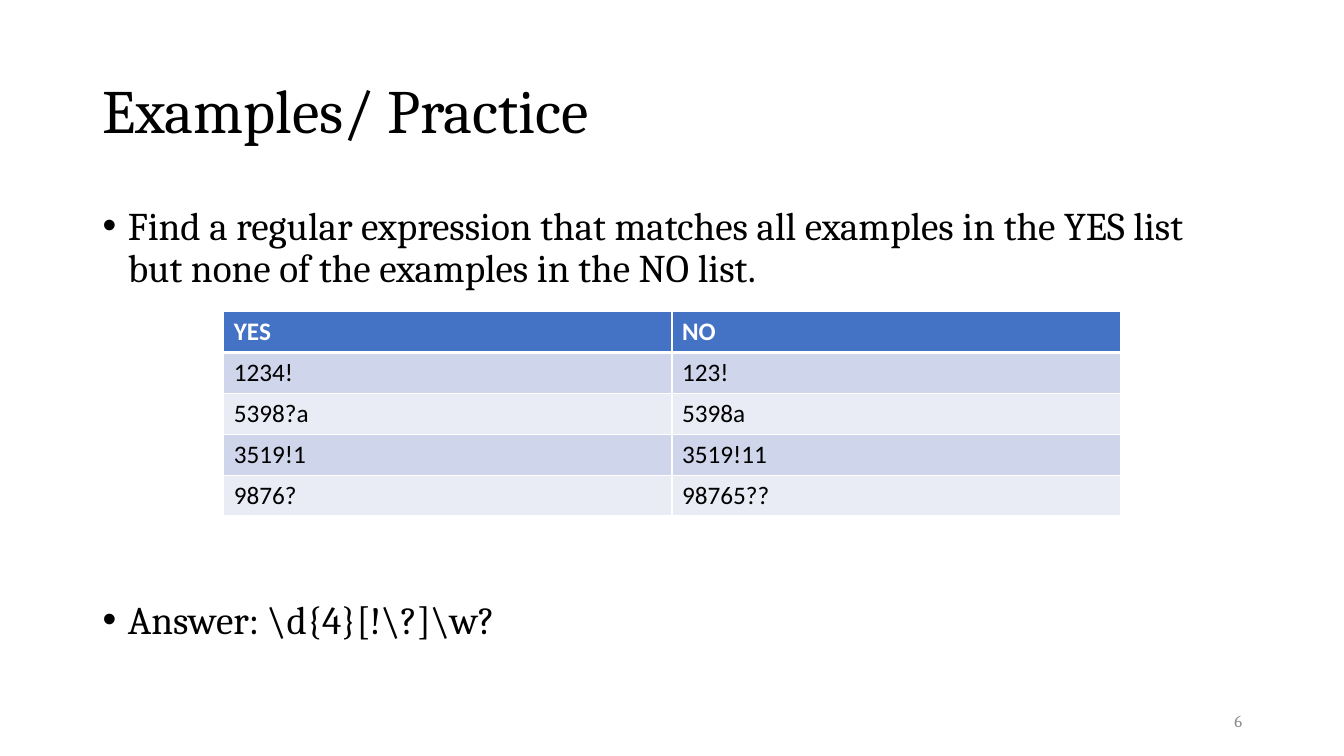
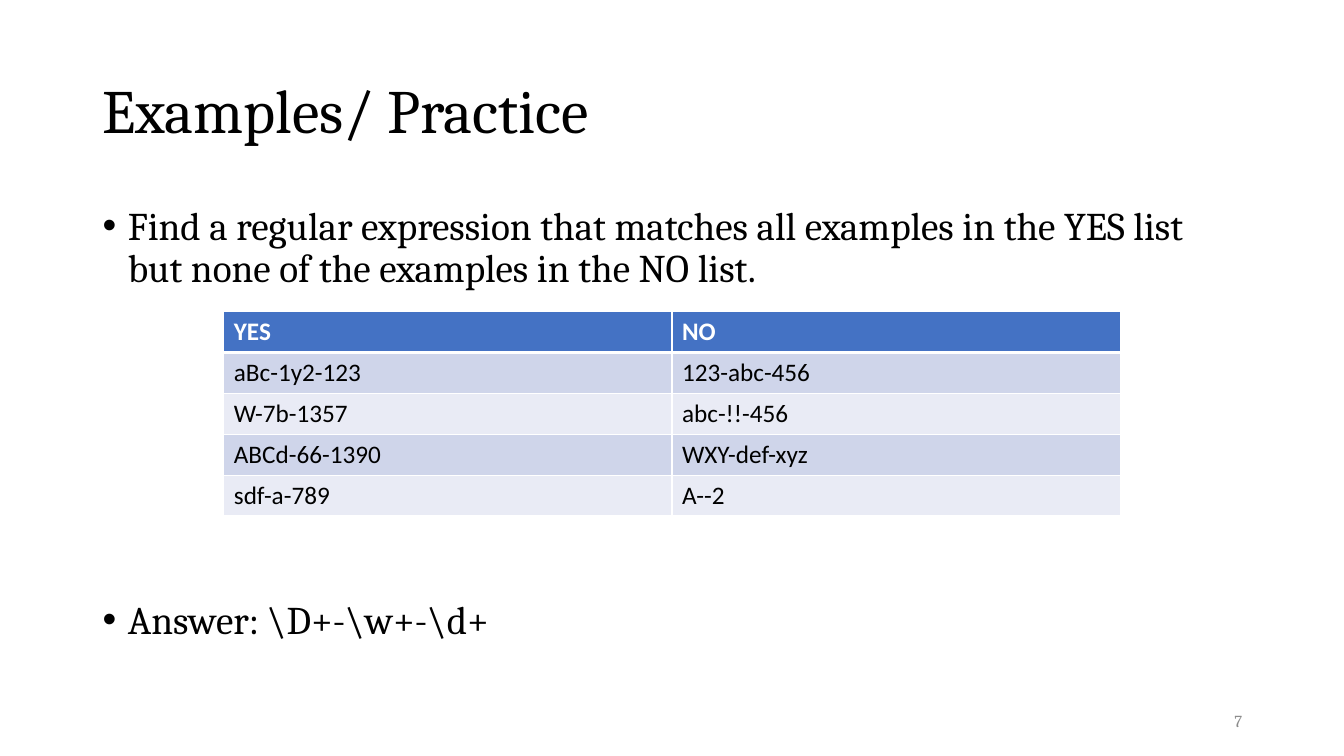
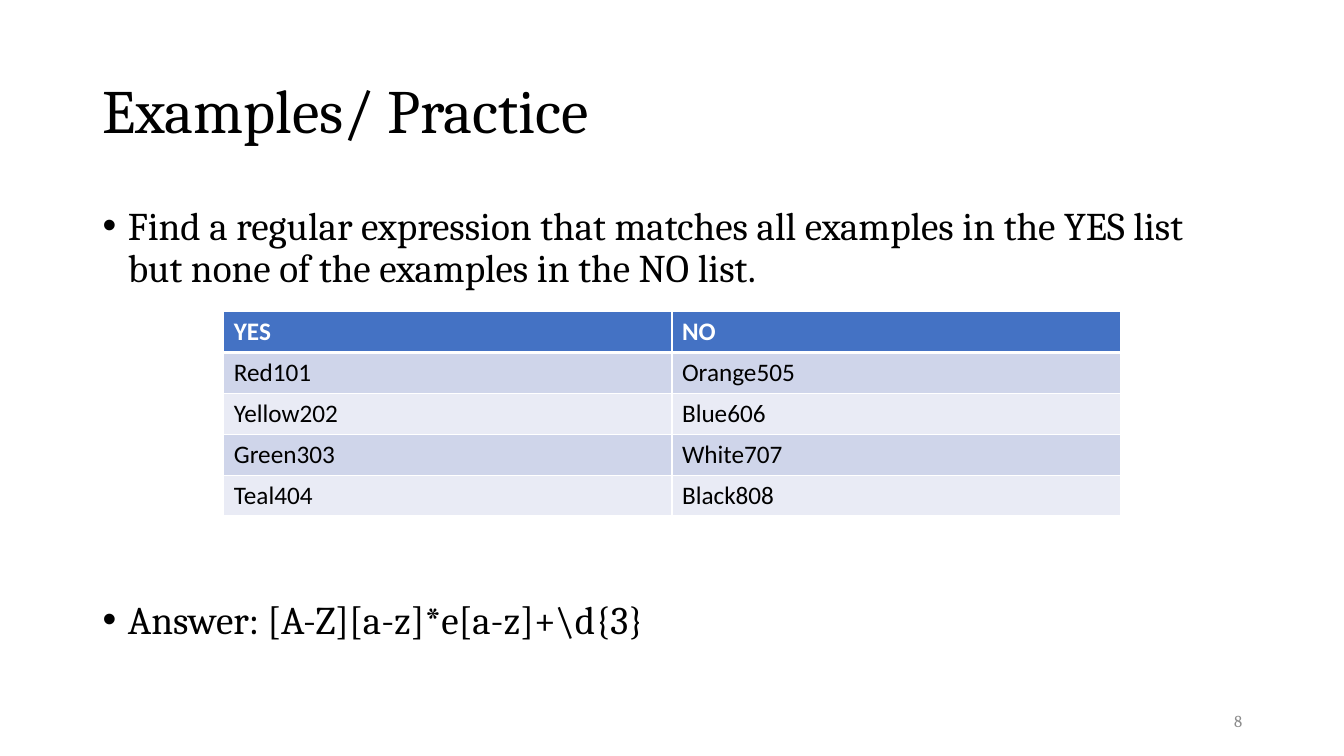
"""Build three regular expression practice slides."""
from lxml.etree import SubElement
from pptx import Presentation
from pptx.dml.color import RGBColor
from pptx.enum.text import MSO_ANCHOR as Anchor, PP_ALIGN as Align
from pptx.oxml.ns import qn
from pptx.util import Inches, Pt

TITLE = "Examples/ Practice"
TASK = ("Find a regular expression that matches all examples in the YES list "
        "but none of the examples in the NO list.")
HEADER = ("YES", "NO")
FIRST_NUMBER = 6
EXERCISES = [
    {"rows": [("1234!", "123!"), ("5398?a", "5398a"),
              ("3519!1", "3519!11"), ("9876?", "98765??")],
     "answer": r"Answer: \d{4}[!\?]\w?"},
    {"rows": [("aBc-1y2-123", "123-abc-456"), ("W-7b-1357", "abc-!!-456"),
              ("ABCd-66-1390", "WXY-def-xyz"), ("sdf-a-789", "A--2")],
     "answer": r"Answer: \D+-\w+-\d+"},
    {"rows": [("Red101", "Orange505"), ("Yellow202", "Blue606"),
              ("Green303", "White707"), ("Teal404", "Black808")],
     "answer": r"Answer: [A-Z][a-z]*e[a-z]+\d{3}"},
]

BLACK = RGBColor(0x00, 0x00, 0x00)
WHITE = RGBColor(0xFF, 0xFF, 0xFF)
GRAY = RGBColor(0x8C, 0x8C, 0x8C)
BLUE = RGBColor(0x44, 0x72, 0xC4)
BANDS = (RGBColor(0xE9, 0xEB, 0xF5), RGBColor(0xCF, 0xD5, 0xEA))
TEXT_FONT, TABLE_FONT = "Cambria", "Calibri"

TITLE_BOX = (0.92, 0.4, 11.5, 1.45)
BODY_BOX = (0.92, 2, 11.5, 4.76)
TABLE_BOX = (2.22, 3.09, 8.89, 2.03)
NUMBER_BOX = (9.42, 6.95, 3, 0.4)
TASK_SPACE, ANSWER_SPACE = 10, 221
THIN, THICK = 0.96, 3


def style_paragraph(paragraph, size, color, font=TEXT_FONT, bold=False):
    for run in paragraph.runs:
        run.font.name = font
        run.font.size = Pt(size)
        run.font.bold = bold
        run.font.color.rgb = color


def add_text(slide, box, text, size, color=BLACK, anchor=Anchor.MIDDLE):
    text_frame = slide.shapes.add_textbox(*map(Inches, box)).text_frame
    text_frame.word_wrap = True
    text_frame.vertical_anchor = anchor
    text_frame.text = text
    for paragraph in text_frame.paragraphs:
        style_paragraph(paragraph, size, color)
    return text_frame


def add_bullet(paragraph):
    properties = paragraph._p.get_or_add_pPr()
    properties.set("marL", str(Inches(0.25)))
    properties.set("indent", str(Inches(-0.25)))
    SubElement(properties, qn("a:buFont"), typeface="Arial")
    SubElement(properties, qn("a:buChar"), char="•")


def add_body(slide, answer):
    text_frame = add_text(slide, BODY_BOX, f"{TASK}\n{answer}", 28, anchor=Anchor.TOP)
    for paragraph, space in zip(text_frame.paragraphs, (TASK_SPACE, ANSWER_SPACE)):
        paragraph.line_spacing = 0.9
        paragraph.space_before = Pt(space)
        add_bullet(paragraph)


def set_borders(cell, top, bottom):
    properties = cell._tc.get_or_add_tcPr()
    for side, width in (("L", THIN), ("R", THIN), ("T", top), ("B", bottom)):
        line = SubElement(properties, qn(f"a:ln{side}"), w=str(Pt(width)))
        fill = SubElement(line, qn("a:solidFill"))
        SubElement(fill, qn("a:srgbClr"), val=str(WHITE))


def add_examples(slide, examples):
    rows = [HEADER, *examples]
    table = slide.shapes.add_table(len(rows), len(HEADER), *map(Inches, TABLE_BOX)).table
    for row_index, row in enumerate(rows):
        is_header = row_index == 0
        for column_index, text in enumerate(row):
            cell = table.cell(row_index, column_index)
            set_borders(cell, THICK if row_index == 1 else THIN, THICK if is_header else THIN)
            cell.fill.solid()
            cell.fill.fore_color.rgb = BLUE if is_header else BANDS[row_index % 2]
            cell.text_frame.text = text
            style_paragraph(cell.text_frame.paragraphs[0], 18,
                            WHITE if is_header else BLACK, TABLE_FONT, is_header)


def add_exercise(presentation, number, exercise):
    slide = presentation.slides.add_slide(presentation.slide_layouts[6])
    title = add_text(slide, TITLE_BOX, TITLE, 44)
    title.paragraphs[0].line_spacing = 0.9
    add_body(slide, exercise["answer"])
    add_examples(slide, exercise["rows"])
    footer = add_text(slide, NUMBER_BOX, str(number), 12, GRAY)
    footer.paragraphs[0].alignment = Align.RIGHT


def main():
    presentation = Presentation()
    presentation.slide_width = Inches(13.33)
    presentation.slide_height = Inches(7.5)
    for number, exercise in enumerate(EXERCISES, FIRST_NUMBER):
        add_exercise(presentation, number, exercise)
    presentation.save("out.pptx")


if __name__ == "__main__":
    main()
